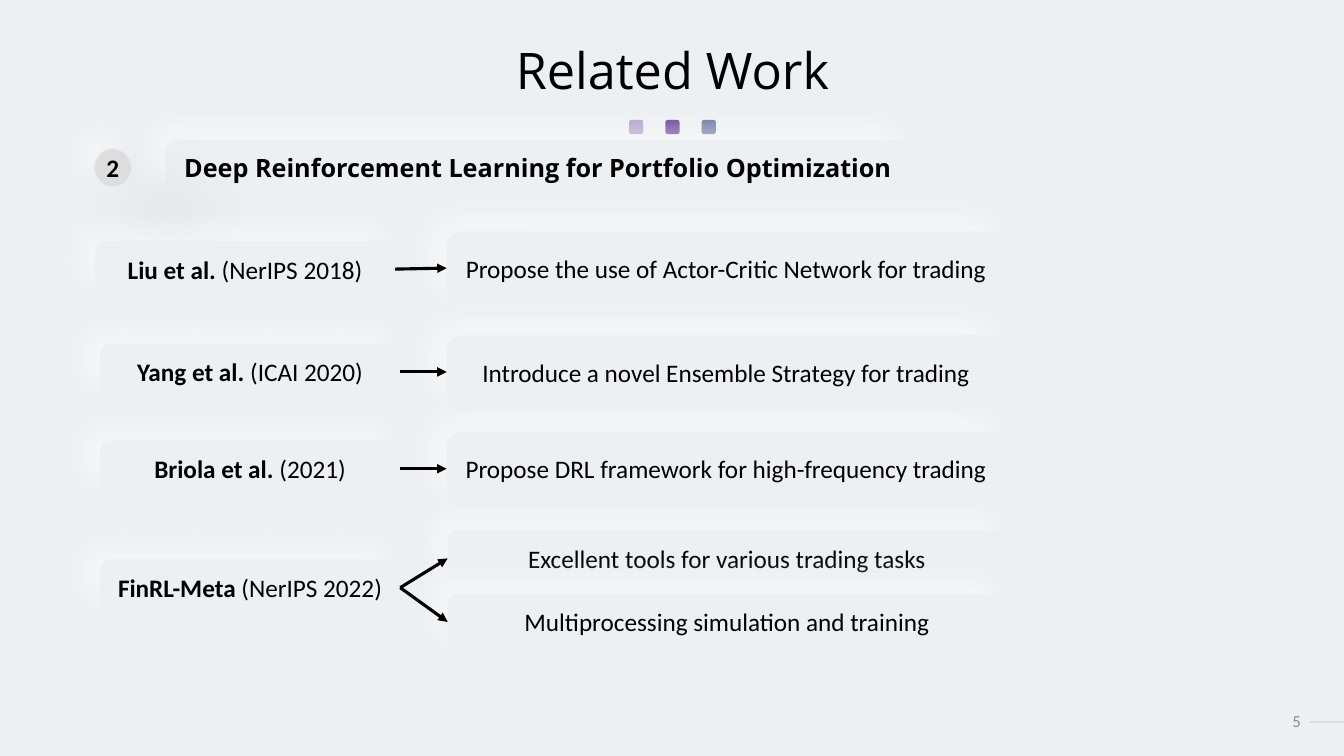
"""Build the Related Work slide: papers linked by arrows to their contributions."""
from dataclasses import dataclass

from lxml.etree import SubElement
from pptx import Presentation
from pptx.dml.color import RGBColor
from pptx.enum.shapes import MSO_CONNECTOR, MSO_SHAPE
from pptx.enum.text import MSO_ANCHOR, MSO_AUTO_SIZE, PP_ALIGN
from pptx.oxml.ns import qn
from pptx.util import Inches, Pt

TITLE = "Related Work"
NUMBER, TOPIC = "2", "Deep Reinforcement Learning for Portfolio Optimization"
PAGE = "5"
DOTS = ["AE9CC8", "623E95", "6774A0"]
# (author, venue, left, centre, [(contribution, left, centre, height)])
PAPERS = [
    ("Liu et al. ", "(NerIPS 2018)", 0.94, 2.67,
     [("Propose the use of Actor-Critic Network for trading", 4.43, 2.66, 0.73)]),
    ("Yang et al. ", "(ICAI 2020)", 0.99, 3.69,
     [("Introduce a novel Ensemble Strategy for trading", 4.43, 3.69, 0.73)]),
    ("Briola et al. ", "(2021)", 0.99, 4.65,
     [("Propose DRL framework for high-frequency trading", 4.43, 4.65, 0.73)]),
    ("FinRL-Meta ", "(NerIPS 2022)", 0.99, 5.83,
     [("Excellent tools for various trading tasks", 4.44, 5.54, 0.56),
      ("Multiprocessing simulation and training", 4.44, 6.17, 0.56)]),
]
PAPER_W, PAPER_H, CLAIM_W = 2.98, 0.56, 5.54


@dataclass(frozen=True)
class Theme:
    back: str = "EDF0F3"
    card: str = "ECF0F3"
    badge: str = "DDDDDD"
    ink: str = "000000"
    muted: str = "8C8C8C"
    head: str = "Open Sans"
    body: str = "Calibri"
    title_pt: int = 36
    text_pt: int = 18
    page_pt: int = 12
    glow: tuple = ("FFFFFF", 50, 20, 15, 225)
    shade: tuple = ("000000", 25, 63, 55, 45)


T = Theme()


def rgb(code):
    return RGBColor.from_string(code)


def add_shadow(shape, color, alpha, blur, dist, angle):
    effects = shape._element.spPr.find(qn("a:effectLst"))
    outer = SubElement(effects, qn("a:outerShdw"), blurRad=str(Pt(blur)), dist=str(Pt(dist)),
                       dir=str(angle * 60000), algn="ctr", rotWithShape="0")
    clr = SubElement(outer, qn("a:srgbClr"), val=color)
    SubElement(clr, qn("a:alpha"), val=str(alpha * 1000))


def write(shape, runs, size=T.text_pt, font=T.body, color=T.ink, align=PP_ALIGN.CENTER, wrap=True):
    tf = shape.text_frame
    tf.word_wrap = wrap
    tf.auto_size = MSO_AUTO_SIZE.NONE
    tf.vertical_anchor = MSO_ANCHOR.MIDDLE
    p = tf.paragraphs[0]
    p.alignment = align
    for text, bold in runs:
        r = p.add_run()
        r.text = text
        r.font.size, r.font.name, r.font.bold = Pt(size), font, bold
        r.font.color.rgb = rgb(color)
    return p


def add_box(s, kind, at, fill, shadow=None):
    sp = s.shapes.add_shape(kind, *map(Inches, at))
    sp.shadow.inherit = False
    sp.fill.solid()
    sp.fill.fore_color.rgb = rgb(fill)
    sp.line.fill.background()
    if shadow:
        add_shadow(sp, *shadow)
    return sp


def add_card(s, at, runs, font=T.body):
    sp = add_box(s, MSO_SHAPE.ROUNDED_RECTANGLE, at, T.card, T.glow)
    sp.adjustments[0] = 0.2
    write(sp, runs, font=font)
    return sp


def add_line(s, start, end, color, width):
    cn = s.shapes.add_connector(MSO_CONNECTOR.STRAIGHT, *map(Inches, start + end))
    cn.line.color.rgb = rgb(color)
    cn.line.width = Pt(width)
    SubElement(cn._element.spPr, qn("a:effectLst"))
    return cn


def add_arrow(s, source, target):
    cn = add_line(s, (0, 0), (1, 1), T.ink, 2.25)
    cn.begin_connect(source, 3)
    cn.end_connect(target, 1)
    SubElement(cn.line._get_or_add_ln(), qn("a:tailEnd"), type="triangle")


def add_frame(s):
    add_line(s, (12.99, 7.16), (13.33, 7.16), T.badge, 1.5)
    page = s.shapes.add_textbox(*map(Inches, (12.42, 6.95, 0.58, 0.4)))
    write(page, [(PAGE, False)], T.page_pt, color=T.muted, align=PP_ALIGN.RIGHT)
    for i, color in enumerate(DOTS):
        add_box(s, MSO_SHAPE.ROUNDED_RECTANGLE, (6.24 + 0.36 * i, 1.19, 0.14, 0.14), color)
    title = s.shapes.title
    title.left, title.top, title.width, title.height = map(Inches, (0.92, 0.4, 11.5, 0.65))
    write(title, [(TITLE, False)], T.title_pt, T.head).line_spacing = 0.9


def add_topic(s):
    add_card(s, (1.64, 1.39, 7.39, 0.55), [(TOPIC, True)], T.head)
    add_box(s, MSO_SHAPE.OVAL, (0.92, 1.46, 0.42, 0.42), T.back, T.glow)
    badge = add_box(s, MSO_SHAPE.OVAL, (0.94, 1.48, 0.36, 0.37), T.badge, T.shade)
    write(badge, [(NUMBER, True)], wrap=False)


def add_papers(s):
    links = []
    for author, venue, left, mid, claims in PAPERS:
        paper = add_card(s, (left, mid - PAPER_H / 2, PAPER_W, PAPER_H),
                         [(author, True), (venue, False)])
        for text, x, y, h in claims:
            links.append((paper, add_card(s, (x, y - h / 2, CLAIM_W, h), [(text, False)])))
    for paper, claim in links:
        add_arrow(s, paper, claim)


def main():
    prs = Presentation()
    prs.slide_width, prs.slide_height = Inches(13.33), Inches(7.5)
    s = prs.slides.add_slide(prs.slide_layouts[5])
    s.background.fill.solid()
    s.background.fill.fore_color.rgb = rgb(T.back)
    add_frame(s)
    add_topic(s)
    add_papers(s)
    prs.save("out.pptx")


if __name__ == "__main__":
    main()
